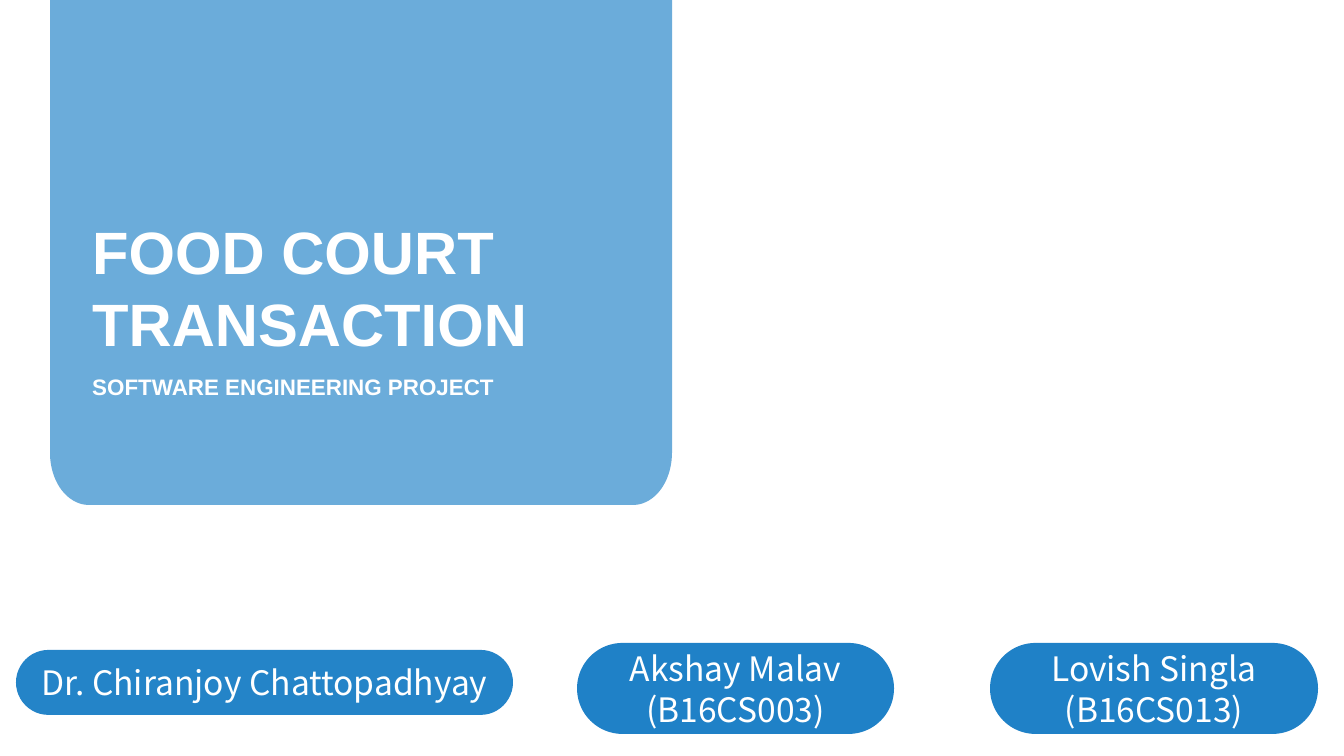
from math import cos, pi, sin

from lxml.etree import SubElement
from pptx import Presentation
from pptx.dml.color import RGBColor
from pptx.enum.shapes import MSO_SHAPE as Shape
from pptx.enum.text import MSO_ANCHOR as Anchor, PP_ALIGN as Align
from pptx.oxml.ns import qn
from pptx.util import Pt

PX = 914400 / 134.4
BLUE = RGBColor(0x00, 0x70, 0xC0)
WHITE = RGBColor(0xFF, 0xFF, 0xFF)


def emu(*nums):
    return [round(n * PX) for n in nums]


def paint(shape, alpha):
    """Fill with blue at alpha percent, without line or shadow."""
    shape.shadow.inherit = False
    shape.line.fill.background()
    shape.fill.solid()
    shape.fill.fore_color.rgb = BLUE
    color = shape.fill._xPr.find(qn("a:solidFill"))[0]
    SubElement(color, qn("a:alpha"), val=str(alpha * 1000))


deck = Presentation()
deck.slide_width, deck.slide_height = emu(1344, 756)
slide = deck.slides.add_slide(deck.slide_layouts[6])
shapes = slide.shapes

# Card with two elliptical bottom corners
left, top, right, base = 50, -1, 672, 505
rx, ry, steps = 39, 52, 24
turns = [pi / 2 * i / steps for i in range(steps + 1)]
curve = [(rx * (1 - cos(t)), ry * (1 - sin(t))) for t in turns]
edge = [(right, top)]
edge += [(right - x, base - y) for x, y in curve]
edge += [(left + x, base - y) for x, y in reversed(curve)]
pen = shapes.build_freeform(*emu(left, top))
pen.add_line_segments([emu(*point) for point in edge], close=True)
paint(pen.convert_to_shape(), 58)

# Title and subtitle
for text, y, high, size in [
    ("SOFTWARE ENGINEERING PROJECT", 367, 41, 12),
    ("FOOD COURT TRANSACTION", 208, 159, 32),
]:
    frame = shapes.add_textbox(*emu(79, y, 593, high)).text_frame
    frame.word_wrap = True
    para = frame.paragraphs[0]
    para.text = text
    para.font.name = "Arial"
    para.font.size = Pt(size)
    para.font.bold = True
    para.font.color.rgb = WHITE

# Name pills
for text, x, y, wide, high, alpha in [
    ("Akshay Malav (B16CS003)", 577, 643, 317, 91, 88),
    ("Dr. Chiranjoy Chattopadhyay", 16, 650, 497, 65, 86),
    ("Lovish Singla (B16CS013)", 990, 643, 328, 91, 88),
]:
    pill = shapes.add_shape(Shape.ROUNDED_RECTANGLE, *emu(x, y, wide, high))
    pill.adjustments[0] = 0.5
    paint(pill, alpha)
    frame = pill.text_frame
    frame.word_wrap = True
    frame.vertical_anchor = Anchor.MIDDLE
    para = frame.paragraphs[0]
    para.text = text
    para.alignment = Align.CENTER
    para.font.name = "Noto Sans CJK KR"
    para.font.size = Pt(18)
    para.font.color.rgb = WHITE

deck.save("out.pptx")
